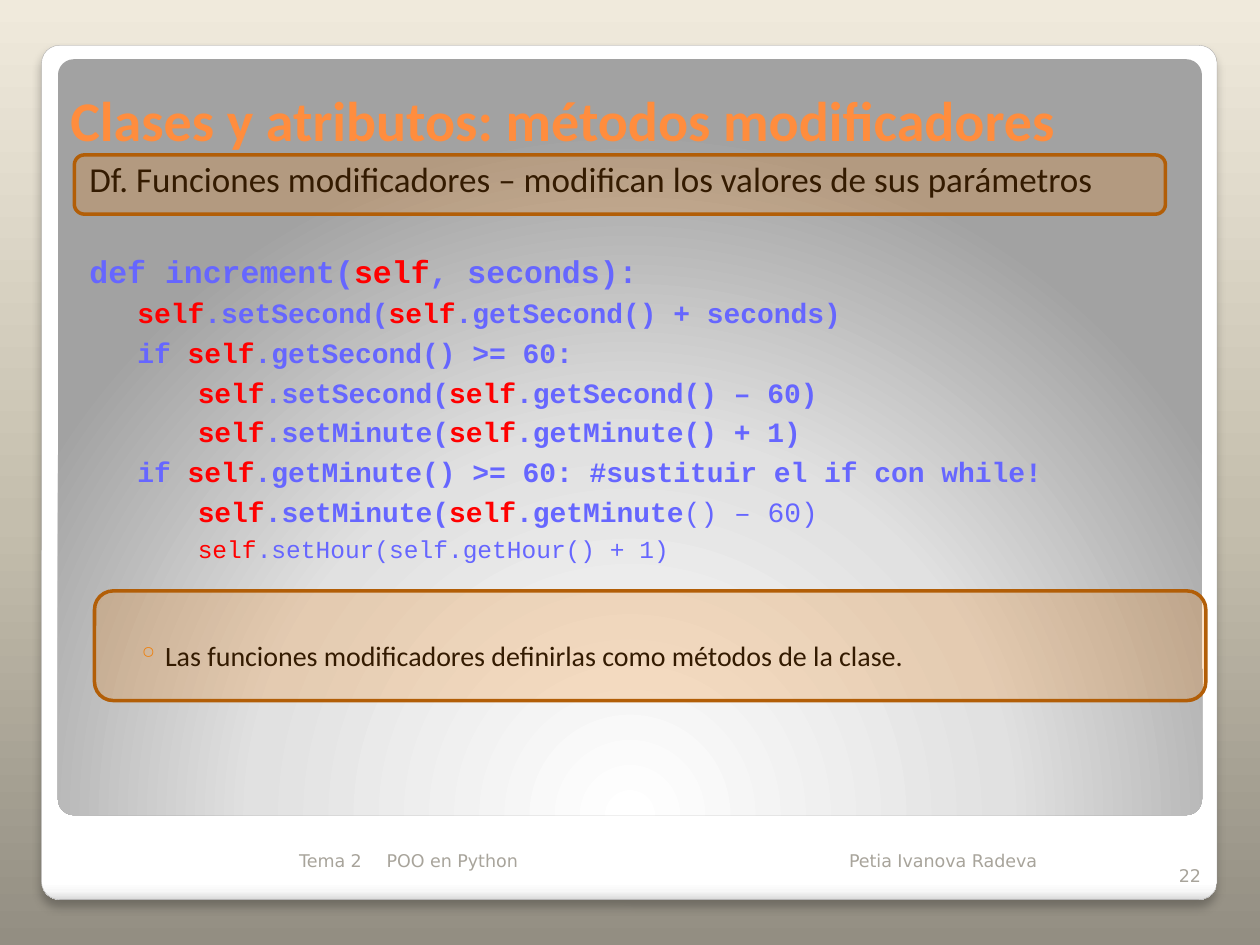
from dataclasses import dataclass

from pptx import Presentation
from pptx.dml.color import RGBColor
from pptx.enum.shapes import MSO_SHAPE
from pptx.enum.text import MSO_ANCHOR, PP_ALIGN
from pptx.oxml import parse_xml
from pptx.oxml.ns import nsdecls, qn
from pptx.util import Inches, Pt

SLIDE_WIDTH, SLIDE_HEIGHT = Inches(10), Inches(7.5)
COLUMNS, ROWS = 100, 75
COLUMN, ROW = SLIDE_WIDTH / COLUMNS, SLIDE_HEIGHT / ROWS

COLORS = {
    "title": "FF8D3E", "text": "000000", "code": "6666FF", "self": "FF0000",
    "accent": "F07F09", "outline": "B25E07", "edge": "A4A3A3", "footer": "A8A49B",
}
BACKDROP = [(0, "938E82"), (45, "C4BEAD"), (100, "F0EADC")]
CARD = [(0, "FFFFFF"), (98, "FFFFFF"), (99, "F7F7F7"), (100, "DADADA")]
PANEL = [(0, "FFFFFF"), (55, "E1E1E1"), (100, "A2A2A2")]
UPWARD, DOWNWARD = '<a:lin ang="16200000" scaled="0"/>', '<a:lin ang="5400000" scaled="0"/>'
FROM_BELOW = ('<a:path path="circle"><a:fillToRect l="50000" t="175000" '
              'r="50000" b="-75000"/></a:path>')

DEFINITION = "Df. Funciones modificadores – modifican los valores de sus parámetros"
CONCLUSION = "Las funciones modificadores definirlas como métodos de la clase."
CODE = [
    (0, 18, "def increment(*self*, seconds):", ""),
    (3.8, 16, "*self*.setSecond(*self*.getSecond() + seconds)", ""),
    (3.8, 16, "if *self*.getSecond() >= 60:", ""),
    (8.6, 16, "*self*.setSecond(*self*.getSecond() – 60)", ""),
    (8.6, 16, "*self*.setMinute(*self*.getMinute() + 1)", ""),
    (3.8, 16, "if *self*.getMinute() >= 60: #sustituir el if con while!", ""),
    (8.6, 16, "*self*.setMinute(*self*.getMinute", "() – 60)"),
    (8.6, 14, "", "*self*.setHour(self.getHour() + 1)"),
]
FOOTER = [
    (1.4, 2, 25, "Tema 2", PP_ALIGN.RIGHT),
    (26.4, 2, 25, "POO en Python", PP_ALIGN.LEFT),
    (63.1, 2, 25, "Petia Ivanova Radeva", PP_ALIGN.LEFT),
    (88, 3.2, 5, "22", PP_ALIGN.RIGHT),
]


@dataclass
class Box:
    """A rectangle in grid columns and rows."""
    left: float
    top: float
    width: float
    height: float

    def inner(self, left, top, width, height):
        """Return a box offset from this one."""
        return Box(self.left + left, self.top + top, width, height)

    def lengths(self):
        """Return the position and size as slide lengths."""
        return (round(self.left * COLUMN), round(self.top * ROW),
                round(self.width * COLUMN), round(self.height * ROW))


def gradient(stops, direction):
    """Return a gradient fill element."""
    marks = "".join(f'<a:gs pos="{position * 1000}"><a:srgbClr val="{color}"/></a:gs>'
                    for position, color in stops)
    return parse_xml(f'<a:gradFill {nsdecls("a")} rotWithShape="1">'
                     f'<a:gsLst>{marks}</a:gsLst>{direction}</a:gradFill>')


def replace_fill(fill, parent, element):
    """Swap a solid fill for the given fill element."""
    fill.solid()
    parent.replace(parent.find(qn("a:solidFill")), element)


def add_rounded(slide, box, radius, outline=None, width=0):
    """Add a rounded rectangle without shadow."""
    shape = slide.shapes.add_shape(MSO_SHAPE.ROUNDED_RECTANGLE, *box.lengths())
    shape.adjustments[0] = radius
    shape.shadow.inherit = False
    if outline:
        shape.line.color.rgb = RGBColor.from_string(COLORS[outline])
        shape.line.width = Pt(width)
    else:
        shape.line.fill.background()
    return shape


def add_text_frame(slide, box, anchor=MSO_ANCHOR.TOP):
    """Add a wrapping text box and return its frame."""
    frame = slide.shapes.add_textbox(*box.lengths()).text_frame
    frame.word_wrap = True
    frame.vertical_anchor = anchor
    return frame


def style(paragraph, name, size, color, bold=False):
    """Set the font of a paragraph."""
    font = paragraph.font
    font.name, font.size, font.bold = name, Pt(size), bold
    font.color.rgb = RGBColor.from_string(COLORS[color])


def add_frame(slide, box):
    """Draw the backdrop, the white card and the grey panel."""
    background = slide.background.fill
    background.solid()
    properties = slide.element.find(".//" + qn("p:bgPr"))
    replace_fill(background, properties, gradient(BACKDROP, UPWARD))
    card = add_rounded(slide, box, 0.021, "edge", 0.16)
    replace_fill(card.fill, card.element.spPr, gradient(CARD, DOWNWARD))
    card.element.spPr.find(qn("a:effectLst")).append(parse_xml(
        f'<a:outerShdw {nsdecls("a")} blurRad="{Pt(5)}" dist="{Pt(4)}" dir="5400000" '
        'algn="t" rotWithShape="0"><a:srgbClr val="000000"><a:alpha val="25000"/>'
        '</a:srgbClr></a:outerShdw>'))
    panel = add_rounded(slide, box.inner(1.3, 1.1, 90.8, 60), 0.021)
    replace_fill(panel.fill, panel.element.spPr, gradient(PANEL, FROM_BELOW))


def add_title(slide, box):
    """Write the slide title."""
    paragraph = add_text_frame(slide, box, MSO_ANCHOR.BOTTOM).paragraphs[0]
    paragraph.text = "Clases y atributos: métodos modificadores"
    style(paragraph, "Calibri", 32, "title", True)


def add_code_runs(paragraph, text, bold):
    """Add runs, with the parts between asterisks in the self colour."""
    for index, part in enumerate(text.split("*")):
        if part:
            run = paragraph.add_run()
            run.text = part
            run.font.bold = bold
            run.font.color.rgb = RGBColor.from_string(COLORS["self" if index % 2 else "code"])


def add_body(slide, box):
    """Write the definition, the code and the conclusion."""
    frame = add_text_frame(slide, box)
    frame.margin_left, frame.margin_top = round(2 * COLUMN), round(ROW)
    definition = frame.paragraphs[0]
    definition.text = DEFINITION
    style(definition, "Calibri", 20, "text")
    for index, (indent, size, strong, plain) in enumerate(CODE):
        paragraph = frame.add_paragraph()
        paragraph.space_before = Pt(3.5 if index else 30)
        paragraph._p.get_or_add_pPr().set("marL", str(round(indent * COLUMN)))
        style(paragraph, "Courier New", size, "code")
        add_code_runs(paragraph, strong, True)
        add_code_runs(paragraph, plain, False)
    conclusion = frame.add_paragraph()
    conclusion.text = CONCLUSION
    conclusion.space_before = Pt(43)
    style(conclusion, "Calibri", 16, "text")
    properties = conclusion._p.get_or_add_pPr()
    properties.set("marL", str(round(6 * COLUMN)))
    properties.set("indent", str(round(-2.2 * COLUMN)))
    bullet = (f'<a:buClr {nsdecls("a")}><a:srgbClr val="{COLORS["accent"]}"/></a:buClr>',
              f'<a:buChar {nsdecls("a")} char="◦"/>')
    for element in bullet:
        properties.find(qn("a:defRPr")).addprevious(parse_xml(element))


def add_highlight(slide, box):
    """Lay a translucent orange frame over a statement."""
    shape = add_rounded(slide, box, 0.17, "outline", 2)
    replace_fill(shape.fill, shape.element.spPr, parse_xml(
        f'<a:solidFill {nsdecls("a")}><a:srgbClr val="{COLORS["accent"]}">'
        '<a:alpha val="22000"/></a:srgbClr></a:solidFill>'))


def add_footer(slide, box):
    """Write the footer labels and the slide number."""
    for left, top, width, text, alignment in FOOTER:
        label = box.inner(left, top, width, 4)
        paragraph = add_text_frame(slide, label, MSO_ANCHOR.BOTTOM).paragraphs[0]
        paragraph.text = text
        paragraph.alignment = alignment
        style(paragraph, "DejaVu Sans", 10, "footer")


def main():
    """Build and save the slide."""
    presentation = Presentation()
    presentation.slide_width, presentation.slide_height = SLIDE_WIDTH, SLIDE_HEIGHT
    slide = presentation.slides.add_slide(presentation.slide_layouts[6])
    add_frame(slide, Box(3.3, 3.6, 93.3, 67.8))
    add_title(slide, Box(4.6, 6.2, 89.5, 6.45))
    add_body(slide, Box(5.1, 11.5, 89.5, 45.8))
    add_footer(slide, Box(3.3, 63.6, 93.3, 7.8))
    add_highlight(slide, Box(5.9, 12.3, 86.6, 4.7))
    add_highlight(slide, Box(7.5, 46.9, 88.2, 8.7))
    presentation.save("out.pptx")


if __name__ == "__main__":
    main()
